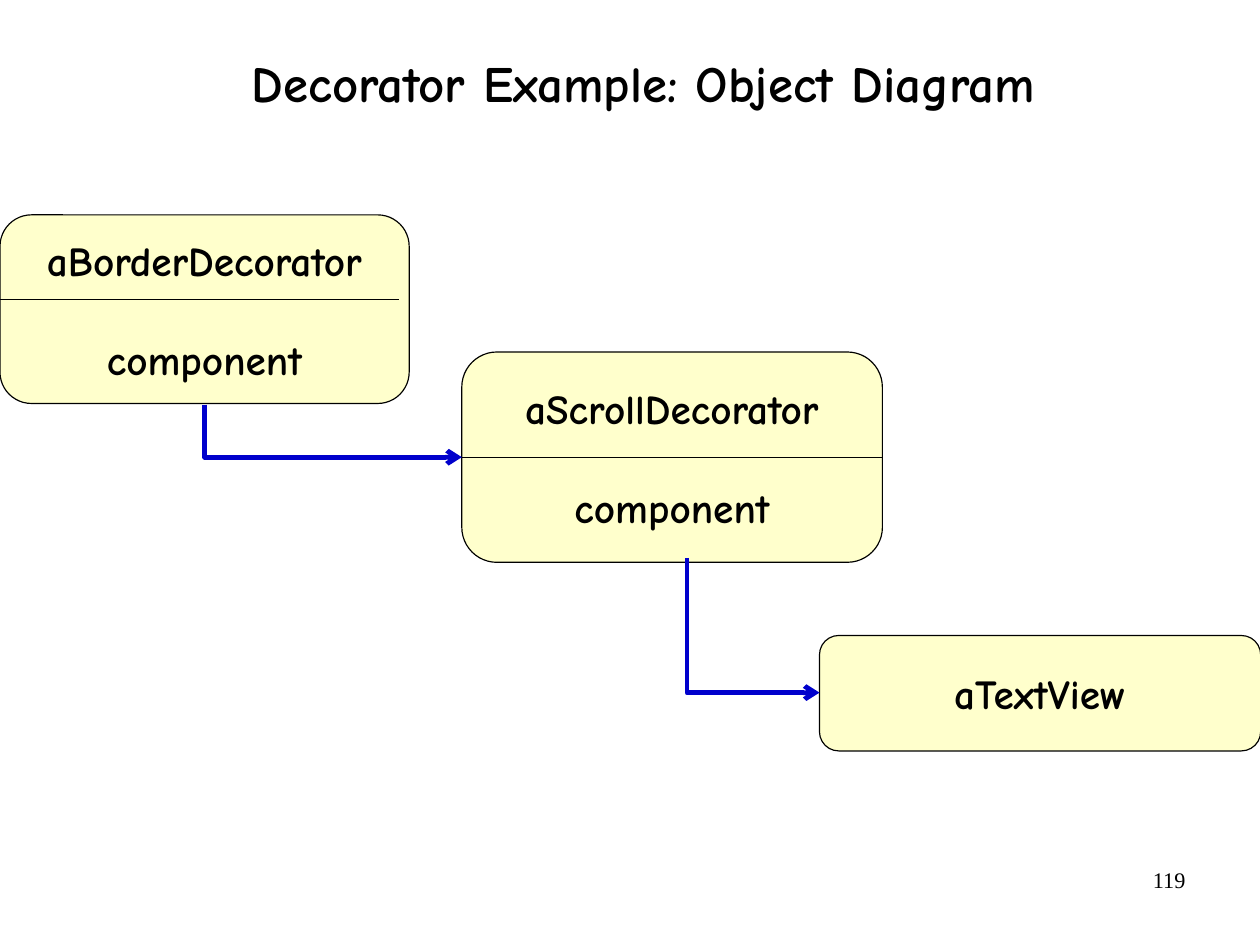
from lxml import etree
from pptx import Presentation
from pptx.dml import color
from pptx.enum import shapes, text
from pptx.oxml import ns
from pptx.util import Inches, Pt

BLACK, CREAM, BLUE = "000000", "FFFFCC", "0000CC"
COMIC = "Comic Neue"


def paint(target, value):
    """Give a colour format the hex colour."""
    target.rgb = color.RGBColor.from_string(value)


def style(para, size, name, align, bold=False):
    """Set the font and alignment of a paragraph."""
    para.alignment = align
    para.font.size = Pt(size)
    para.font.name = name
    para.font.bold = bold
    paint(para.font.color, BLACK)


def set_margins(frame, across, down):
    """Set the side and the upper and lower margins of a text frame."""
    frame.margin_left = frame.margin_right = Inches(across)
    frame.margin_top = frame.margin_bottom = Inches(down)


def add_label(page, words, place, size, name, align, bold=False):
    """Add a one-paragraph text box and return its frame."""
    frame = page.shapes.add_textbox(*map(Inches, place)).text_frame
    frame.word_wrap = True
    para = frame.paragraphs[0]
    para.text = words
    style(para, size, name, align, bold)
    return frame


def add_object(page, lines, place):
    """Add a rounded object box with its lines of text spread apart."""
    box = page.shapes.add_shape(
        shapes.MSO_SHAPE.ROUNDED_RECTANGLE, *map(Inches, place))
    box.shadow.inherit = False
    box.fill.solid()
    paint(box.fill.fore_color, CREAM)
    paint(box.line.color, BLACK)
    box.line.width = Pt(0.75)
    frame = box.text_frame
    frame.word_wrap = False
    frame.vertical_anchor = text.MSO_ANCHOR.MIDDLE
    set_margins(frame, 0.11, 0.06)
    for index, line in enumerate(lines):
        para = frame.add_paragraph() if index else frame.paragraphs[0]
        para.text = line
        if index:
            para.space_before = Pt(31)
        style(para, 26, COMIC, text.PP_ALIGN.CENTER, True)
    return box


def add_line(page, kind, start, end, value, width):
    """Add a connector without a shadow."""
    line = page.shapes.add_connector(kind, *map(Inches, (*start, *end)))
    paint(line.line.color, value)
    line.line.width = Pt(width)
    etree.SubElement(line._element.spPr, ns.qn("a:effectLst"))
    return line


def add_divider(page, start, end):
    """Add a thin straight line between the parts of an object."""
    return add_line(page, shapes.MSO_CONNECTOR.STRAIGHT, start, end, BLACK, 0.75)


def add_reference(page, start, end):
    """Add a blue arrow that goes down, then right."""
    (left, top), (right, bottom) = start, end
    run, drop = right - left, bottom - top
    middle_x, middle_y = (left + right) / 2, (top + bottom) / 2
    arrow = add_line(
        page, shapes.MSO_CONNECTOR.ELBOW,
        (middle_x + drop / 2, middle_y - run / 2),
        (middle_x - drop / 2, middle_y + run / 2), BLUE, 3)
    properties = arrow._element.spPr
    properties.find(ns.qn("a:xfrm")).set("rot", str(270 * 60000))
    properties.find(ns.qn("a:prstGeom")).set("prst", "bentConnector2")
    outline = properties.find(ns.qn("a:ln"))
    etree.SubElement(outline, ns.qn("a:tailEnd"), type="arrow")


def main():
    """Build the object diagram slide."""
    deck = Presentation()
    deck.slide_width = Inches(28 / 2.54)
    deck.slide_height = Inches(21 / 2.54)
    page = deck.slides.add_slide(deck.slide_layouts[6])

    add_label(page, "119", (7.9, 7.53, 2.57, 0.57), 14,
              "Times New Roman", text.PP_ALIGN.RIGHT)
    title = add_label(page, "Decorator Example: Object Diagram",
                      (0.93, 0.39, 9.4, 0.74), 32, COMIC,
                      text.PP_ALIGN.CENTER, True)
    title.vertical_anchor = text.MSO_ANCHOR.MIDDLE
    title.paragraphs[0].line_spacing = 0.88
    set_margins(title, 0, 0)

    add_object(page, ["aBorderDecorator", "component"], (0, 1.88, 3.58, 1.65))
    add_divider(page, (0, 2.62), (3.49, 2.62))
    scroll = add_object(page, ["aScrollDecorator", "component"],
                        (4.04, 3.08, 3.68, 1.84))
    divider = add_divider(page, (4.04, 4), (7.72, 4))
    divider.begin_connect(scroll, 1)
    divider.end_connect(scroll, 3)
    add_object(page, ["aTextView"], (7.17, 5.56, 3.86, 1.01))

    add_reference(page, (1.79, 3.54), (4.04, 4))
    add_reference(page, (6.01, 4.88), (7.17, 6.06))
    deck.save("out.pptx")


if __name__ == "__main__":
    main()
